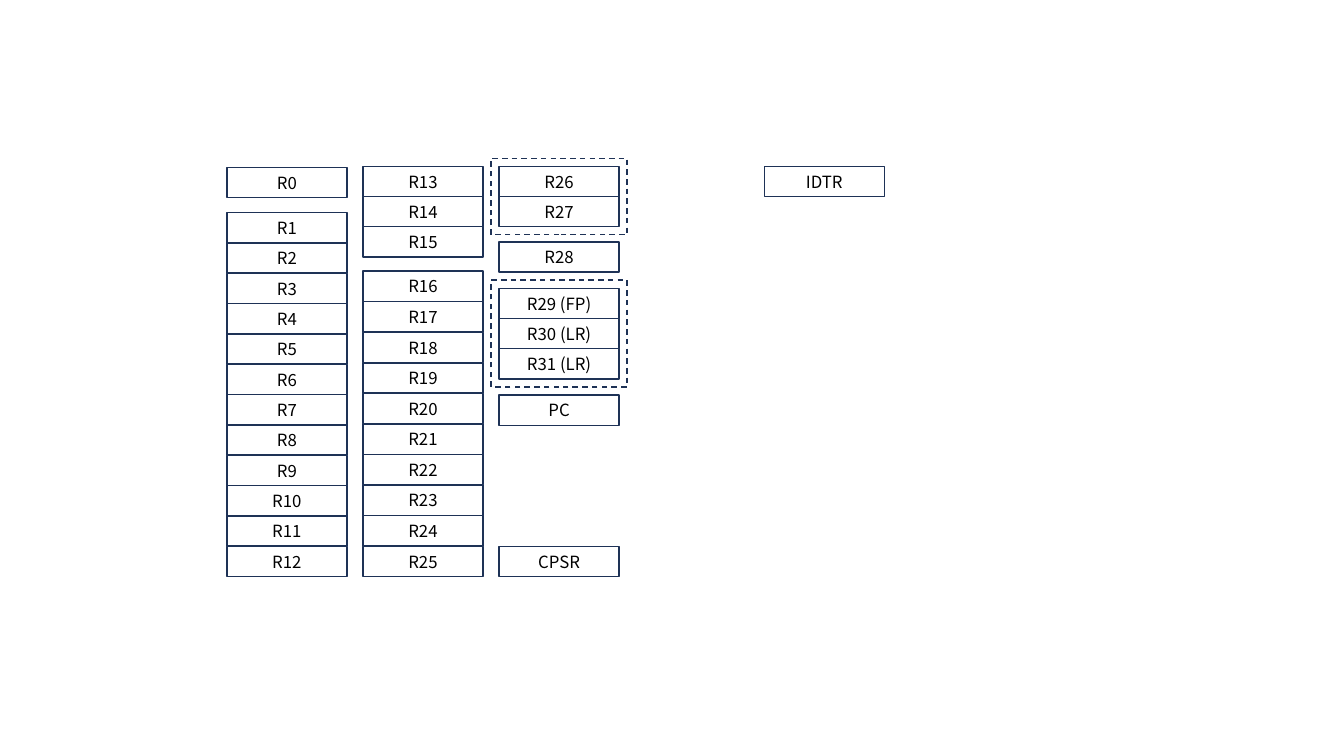
from pptx import Presentation
from pptx.dml.color import RGBColor
from pptx.enum.dml import MSO_LINE
from pptx.enum.shapes import MSO_SHAPE
from pptx.enum.text import MSO_ANCHOR, PP_ALIGN
from pptx.util import Inches, Pt

COLORS = {"box": "FFFFFF", "line": "1E3256", "text": "000000"}
FONT = "Noto Sans CJK KR"
BOX_WIDTH, BOX_HEIGHT = 1.19, 0.3
COLUMNS = [2.25, 3.6, 4.95]
TOP, BOTTOM = 1.65, 5.42
GROUP_MARGIN = 0.08

presentation = Presentation()
presentation.slide_width = Inches(13.33)
presentation.slide_height = Inches(7.5)
slide = presentation.slides.add_slide(presentation.slide_layouts[6])


def add_rectangle(left, top, width, height):
    shape = slide.shapes.add_shape(
        MSO_SHAPE.RECTANGLE, Inches(left), Inches(top), Inches(width), Inches(height)
    )
    shape.shadow.inherit = False
    shape.line.color.rgb = RGBColor.from_string(COLORS["line"])
    shape.line.width = Pt(1)
    return shape


def register_names(first, last):
    return [f"R{number}" for number in range(first, last + 1)]


# Register blocks: left, top of first box, top of last box, names
blocks = [
    (COLUMNS[0], 1.66, 1.66, ["R0"]),
    (COLUMNS[0], 2.11, BOTTOM, register_names(1, 12)),
    (COLUMNS[1], TOP, 2.25, register_names(13, 15)),
    (COLUMNS[1], 2.69, BOTTOM, register_names(16, 25)),
    (COLUMNS[2], TOP, 1.95, register_names(26, 27)),
    (COLUMNS[2], 2.4, 2.4, ["R28"]),
    (COLUMNS[2], 2.86, 3.46, ["R29 (FP)", "R30 (LR)", "R31 (LR)"]),
    (COLUMNS[2], 3.92, 3.92, ["PC"]),
    (COLUMNS[2], BOTTOM, BOTTOM, ["CPSR"]),
    (7.58, TOP, TOP, ["IDTR"]),
]
for left, first_top, last_top, names in blocks:
    pitch = (last_top - first_top) / max(len(names) - 1, 1)
    for index, name in enumerate(names):
        shape = add_rectangle(left, first_top + index * pitch, BOX_WIDTH, BOX_HEIGHT)
        shape.fill.solid()
        shape.fill.fore_color.rgb = RGBColor.from_string(COLORS["box"])
        shape.text_frame.vertical_anchor = MSO_ANCHOR.MIDDLE
        paragraph = shape.text_frame.paragraphs[0]
        paragraph.text = name
        paragraph.alignment = PP_ALIGN.CENTER
        paragraph.font.name = FONT
        paragraph.font.size = Pt(12)
        paragraph.font.color.rgb = RGBColor.from_string(COLORS["text"])

# Dashed frames around R26-R27 and R29-R31
for first_top, count in [(TOP, 2), (2.86, 3)]:
    frame = add_rectangle(
        COLUMNS[2] - GROUP_MARGIN,
        first_top - GROUP_MARGIN,
        BOX_WIDTH + 2 * GROUP_MARGIN,
        count * BOX_HEIGHT + 2 * GROUP_MARGIN,
    )
    frame.fill.background()
    frame.line.dash_style = MSO_LINE.DASH

presentation.save("out.pptx")
